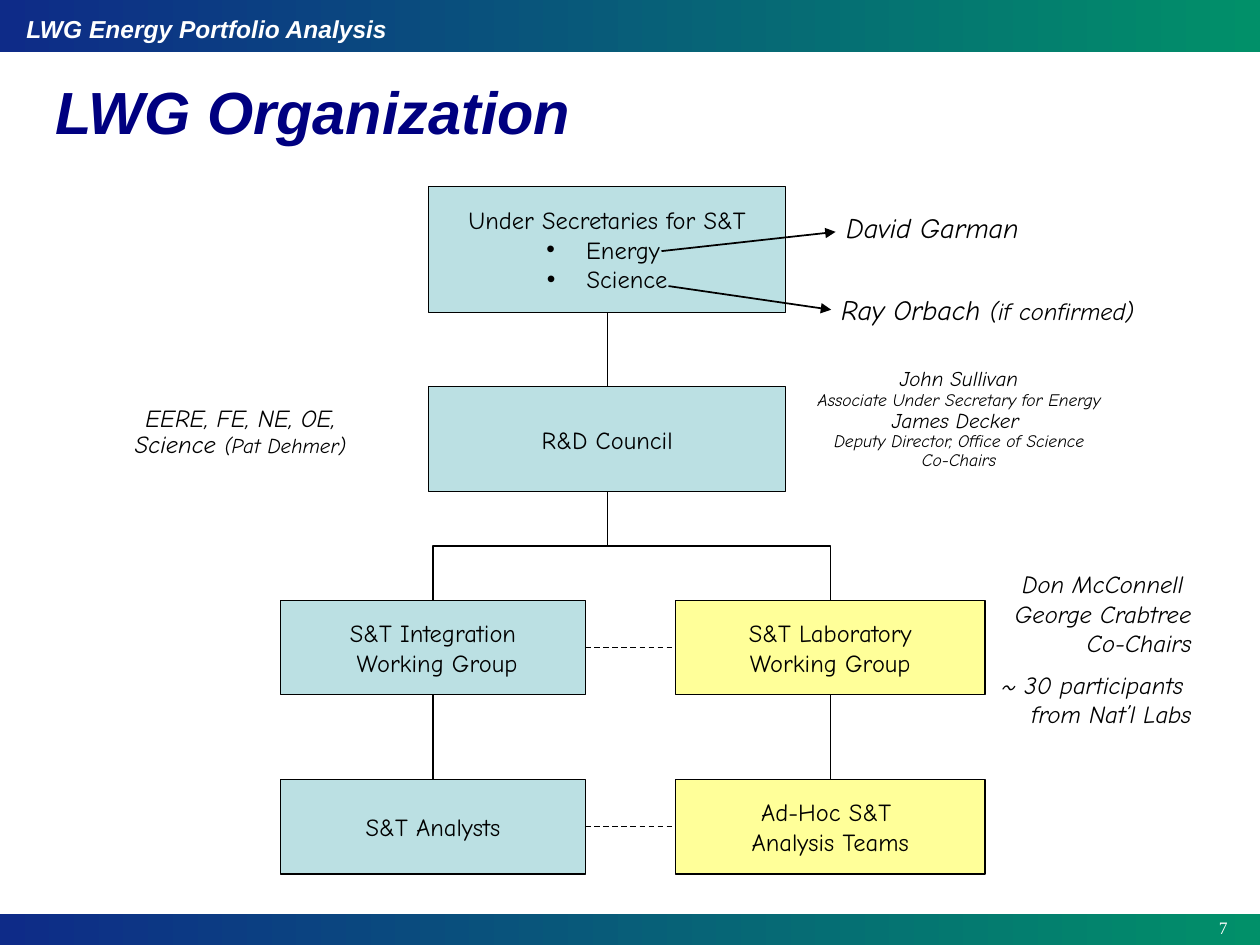
from lxml.etree import SubElement
from pptx import Presentation
from pptx.dml.color import RGBColor
from pptx.enum.dml import MSO_LINE
from pptx.enum.shapes import MSO_CONNECTOR, MSO_SHAPE
from pptx.enum.text import MSO_ANCHOR, PP_ALIGN
from pptx.oxml.ns import qn
from pptx.util import Pt

BLACK, WHITE, NAVY = "000000", "FFFFFF", "000080"
BLUE, YELLOW = "BBE0E3", "FFFF99"
TOP, LEFT, BOTTOM, RIGHT = range(4)  # connection sites of a rectangle


def write(tf, lines, font="Comic Neue", color=BLACK, bold=False, italic=False,
          align=PP_ALIGN.LEFT, spacing=None):
    """Fill a text frame; each line is a list of (text, size) runs."""
    for i, runs in enumerate(lines):
        p = tf.paragraphs[0] if i == 0 else tf.add_paragraph()
        p.alignment = align
        p.line_spacing = spacing
        for text, size in runs:
            r = p.add_run()
            r.text = text
            r.font.name, r.font.size = font, Pt(size)
            r.font.bold, r.font.italic = bold, italic
            r.font.color.rgb = RGBColor.from_string(color)


def connect(kind, x1, y1, x2, y2, width=0.75):
    c = s.shapes.add_connector(kind, Pt(x1), Pt(y1), Pt(x2), Pt(y2))
    c.line.color.rgb = RGBColor.from_string(BLACK)
    c.line.width = Pt(width)
    SubElement(c._element.spPr, qn("a:effectLst"))
    return c


prs = Presentation()
prs.slide_width, prs.slide_height = Pt(720), Pt(540)
s = prs.slides.add_slide(prs.slide_layouts[5])

# Gradient bands at the top and bottom
for top, height in [(522, 18), (0, 30)]:
    sp = s.shapes.add_shape(MSO_SHAPE.RECTANGLE, 0, Pt(top), Pt(720), Pt(height))
    sp.shadow.inherit = False
    sp.line.fill.background()
    sp.fill.gradient()
    sp.fill.gradient_angle = 180
    for stop, color in zip(sp.fill.gradient_stops, ["019069", "0E2B88"]):
        stop.color.rgb = RGBColor.from_string(color)

header = s.shapes.add_textbox(Pt(8), Pt(4.5), Pt(225), Pt(24))
header.text_frame.word_wrap = False
write(header.text_frame, [[("LWG Energy Portfolio Analysis", 14)]], "Arial", WHITE,
      bold=True, italic=True)

number = s.shapes.add_textbox(Pt(541), Pt(520.5), Pt(167.5), Pt(19))
number.text_frame.word_wrap = True
write(number.text_frame, [[("7", 10)]], "Times New Roman", WHITE, align=PP_ALIGN.RIGHT)

title = s.shapes.title
title.left, title.top, title.width, title.height = Pt(24.5), Pt(44), Pt(626), Pt(44)
title.text_frame.vertical_anchor = MSO_ANCHOR.MIDDLE
write(title.text_frame, [[("LWG Organization", 34)]], "Arial", NAVY,
      bold=True, italic=True, spacing=0.9)

# Organization boxes
boxes = {}
for name, x, y, w, h, fill, lines in [
    ("secretaries", 245, 106.5, 204, 72, BLUE,
     ["Under Secretaries for S&T", " Energy ", " Science"]),
    ("council", 245, 221, 204, 60, BLUE, ["R&D Council"]),
    ("integration", 160.5, 343, 174, 54, BLUE, ["S&T Integration", " Working Group"]),
    ("analysts", 160.5, 445.5, 174, 54, BLUE, ["S&T Analysts"]),
    ("laboratory", 386, 343, 177, 54, YELLOW, ["S&T Laboratory", "Working Group"]),
    ("teams", 386, 445.5, 177, 54, YELLOW, ["Ad-Hoc S&T ", "Analysis Teams"]),
]:
    sp = s.shapes.add_shape(MSO_SHAPE.RECTANGLE, Pt(x), Pt(y), Pt(w), Pt(h))
    sp.shadow.inherit = False
    sp.fill.solid()
    sp.fill.fore_color.rgb = RGBColor.from_string(fill)
    sp.line.color.rgb = RGBColor.from_string(BLACK)
    sp.line.width = Pt(0.75)
    sp.text_frame.word_wrap = False
    sp.text_frame.vertical_anchor = MSO_ANCHOR.MIDDLE
    write(sp.text_frame, [[(line, 14)] for line in lines], align=PP_ALIGN.CENTER)
    boxes[name] = sp

for p in boxes["secretaries"].text_frame.paragraphs[1:]:
    pPr = p._p.get_or_add_pPr()
    pPr.set("marL", str(Pt(18)))
    pPr.set("indent", str(-Pt(18)))
    SubElement(pPr, qn("a:buFont")).set("typeface", "Arial")
    SubElement(pPr, qn("a:buChar")).set("char", "•")

# Straight links between boxes; the side links are dashed
for start, end, site1, site2 in [
    ("secretaries", "council", BOTTOM, TOP),
    ("integration", "analysts", BOTTOM, TOP),
    ("laboratory", "teams", BOTTOM, TOP),
    ("integration", "laboratory", RIGHT, LEFT),
    ("analysts", "teams", RIGHT, LEFT),
]:
    c = connect(MSO_CONNECTOR.STRAIGHT, 0, 0, 0, 0)
    c.begin_connect(boxes[start], site1)
    c.end_connect(boxes[end], site2)
    if site1 == RIGHT:
        c.line.dash_style = MSO_LINE.DASH

# Elbows from the council, turned so that they leave it downwards
for end in ["laboratory", "integration"]:
    c = connect(MSO_CONNECTOR.ELBOW, 0, 0, 0, 0)
    c.begin_connect(boxes["council"], BOTTOM)
    c.end_connect(boxes[end], TOP)
    dx, dy = c.end_x - c.begin_x, c.end_y - c.begin_y
    mid_x, mid_y = (c.begin_x + c.end_x) // 2, (c.begin_y + c.end_y) // 2
    xfrm = c._element.spPr.find(qn("a:xfrm"))
    xfrm.set("rot", str((270 if dx > 0 else 90) * 60000))
    xfrm.set("flipH", "1" if dx > 0 else "0")
    c.width, c.height = dy, abs(dx)
    c.left, c.top = mid_x - dy // 2, mid_y - abs(dx) // 2

# Arrows to the names of the under secretaries
for ends in [(378, 143.5, 477.5, 132.5), (382, 163.5, 475, 177)]:
    c = connect(MSO_CONNECTOR.STRAIGHT, *ends, width=1)
    SubElement(c.line._get_or_add_ln(), qn("a:tailEnd")).set("type", "triangle")

# Names beside the boxes
for x, y, w, h, align, spacing, anchor, lines in [
    (476.5, 122.5, 141, 21, PP_ALIGN.LEFT, 0.9, MSO_ANCHOR.MIDDLE,
     [[("David Garman", 16)]]),
    (473.5, 169, 214, 21, PP_ALIGN.LEFT, 0.9, MSO_ANCHOR.MIDDLE,
     [[("Ray Orbach ", 16), ("(if confirmed)", 14)]]),
    (52.5, 232, 170, 34, PP_ALIGN.CENTER, 0.9, MSO_ANCHOR.MIDDLE,
     [[("EERE, FE, NE, OE, Science ", 14), ("(Pat Dehmer)", 12)]]),
    (529, 325, 159, 95, PP_ALIGN.RIGHT, None, MSO_ANCHOR.MIDDLE,
     [[(line, 14)] for line in ["Don McConnell ", "George Crabtree", " Co-Chairs",
                                "~ 30 participants ", "from Nat’l Labs"]]),
    (450.5, 210.5, 195, 62, PP_ALIGN.CENTER, 0.9, MSO_ANCHOR.TOP,
     [[("John Sullivan", 12)], [("Associate Under Secretary for Energy", 10)],
      [("James Decker ", 12)], [("Deputy Director, Office of Science", 10)],
      [("Co-Chairs", 10)]]),
]:
    tf = s.shapes.add_textbox(Pt(x), Pt(y), Pt(w), Pt(h)).text_frame
    tf.word_wrap = True
    tf.margin_top = 0
    tf.vertical_anchor = anchor
    write(tf, lines, italic=True, align=align, spacing=spacing)
    for p in tf.paragraphs:
        if p.text.startswith("~"):
            p.space_before = Pt(7)

prs.save("out.pptx")
